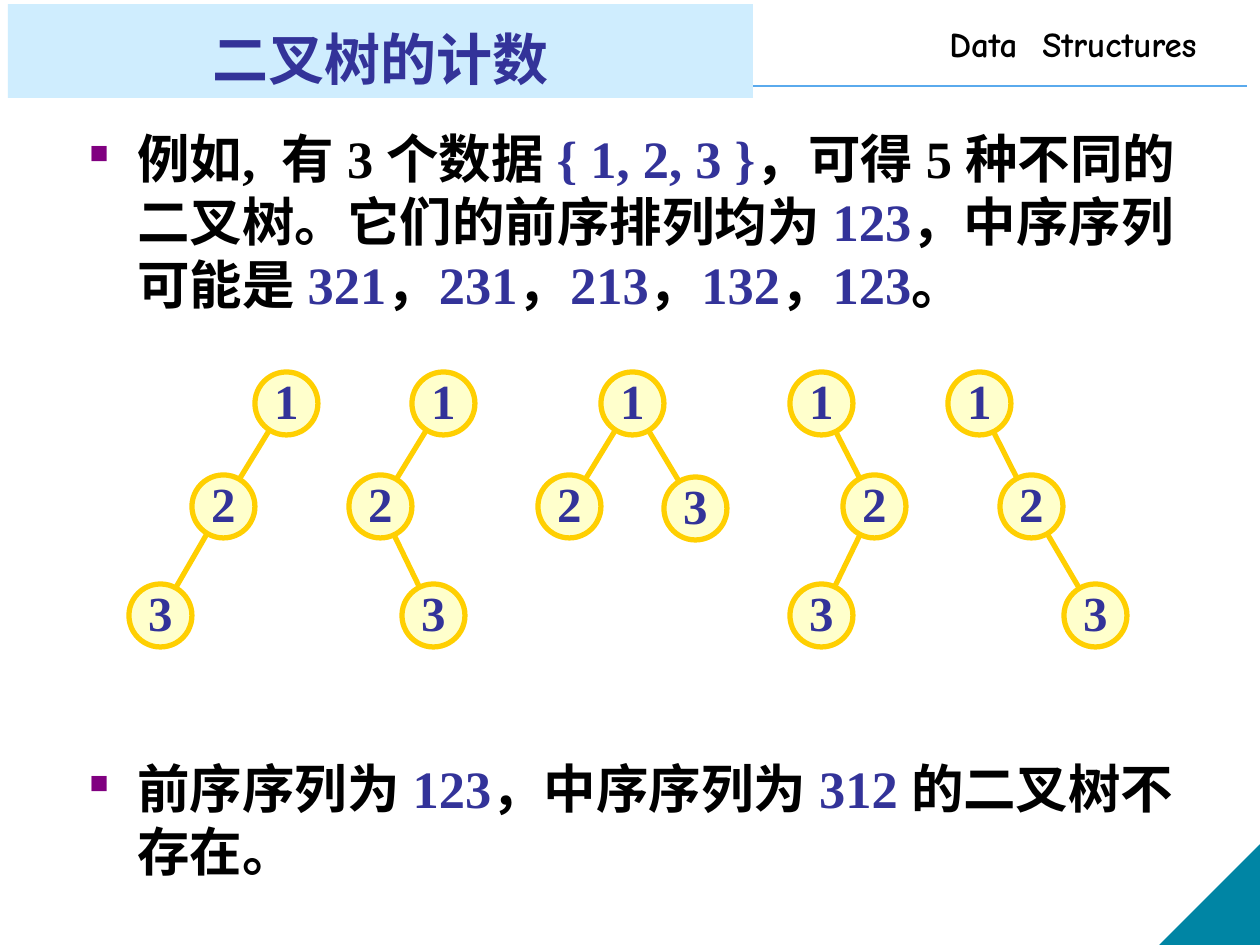
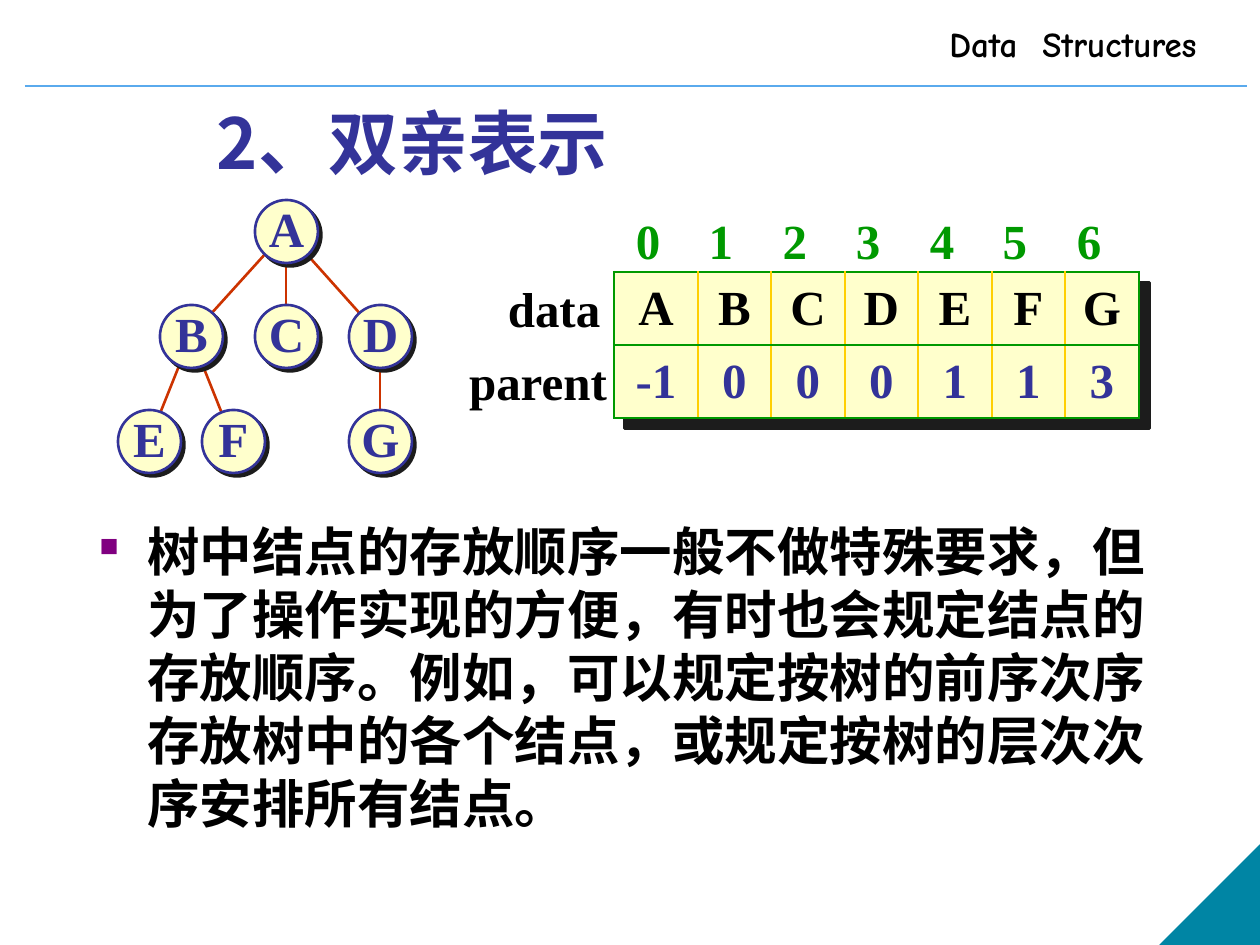
from dataclasses import dataclass
from itertools import product
from typing import NamedTuple

from lxml.etree import SubElement
from pptx import Presentation
from pptx.dml.color import RGBColor
from pptx.enum.shapes import MSO_CONNECTOR, MSO_SHAPE
from pptx.enum.text import MSO_ANCHOR, PP_ALIGN
from pptx.oxml.ns import qn
from pptx.util import Emu, Pt

BLACK = RGBColor(0x00, 0x00, 0x00)
WHITE = RGBColor(0xFF, 0xFF, 0xFF)
NAVY = RGBColor(0x33, 0x33, 0x99)
SKY = RGBColor(0x5A, 0xAA, 0xED)
PALE = RGBColor(0xCF, 0xED, 0xFE)
TEAL = RGBColor(0x00, 0x85, 0xA4)
CREAM = RGBColor(0xFF, 0xFF, 0xCC)
GOLD = RGBColor(0xFF, 0xCF, 0x01)
RUST = RGBColor(0xCC, 0x33, 0x00)
GREEN = RGBColor(0x00, 0x99, 0x00)
PURPLE = RGBColor(0x80, 0x00, 0x80)
SHADE = RGBColor(0x1C, 0x1C, 0x1C)

SERIF = "Times New Roman"
SANS = "Lato"
NODE = 63
INDENT = 48


class Box(NamedTuple):
    x: int
    y: int
    w: int
    h: int


class Style(NamedTuple):
    size: int
    color: RGBColor
    face: str = SERIF
    east: str = SANS


class Look(NamedTuple):
    edge: RGBColor
    rim: RGBColor
    width: float
    drop: float = 0


@dataclass
class Node:
    key: str
    x: int
    y: int
    root: str = ""


BODY = Style(30, BLACK)
LABEL = Style(28, NAVY)
DARK = Style(28, BLACK)
INDEX = Style(28, GREEN)
HEAD = Style(20, BLACK, "Comic Neue", "Comic Neue")

FIRST = Look(GOLD, GOLD, 3)
SECOND = Look(RUST, NAVY, 1.5, 2.8)

FOREST = [
    [Node("1", 286, 403), Node("2", 223, 506, "1"), Node("3", 160, 615, "2")],
    [Node("1", 443, 403), Node("2", 380, 506, "1"), Node("3", 433, 615, "2")],
    [Node("1", 632, 403), Node("2", 569, 506, "1"), Node("3", 695, 508, "1")],
    [Node("1", 821, 403), Node("2", 874, 506, "1"), Node("3", 821, 615, "2")],
    [Node("1", 979, 403), Node("2", 1031, 506, "1"), Node("3", 1095, 615, "2")],
]
FAMILY = [
    Node("A", 286, 231), Node("B", 191, 336, "A"), Node("C", 286, 336, "A"),
    Node("D", 380, 336, "A"), Node("E", 149, 441, "B"),
    Node("F", 233, 441, "B"), Node("G", 380, 441, "D"),
]
ROWS = [list("ABCDEFG"), ["-1", "0", "0", "0", "1", "1", "3"]]


def px(n: int) -> Emu:
    return Emu(round(n * 914400 / 126))


def place(box: Box) -> list[Emu]:
    return [px(n) for n in box]


def paint(node, color: RGBColor) -> None:
    fill = SubElement(node, qn("a:solidFill"))
    SubElement(fill, qn("a:srgbClr"), val=str(color))


def style_text(para, style: Style) -> None:
    font = para.font
    font.size = Pt(style.size)
    font.bold = True
    font.color.rgb = style.color
    font.name = style.face
    props = para._p.pPr.find(qn("a:defRPr"))
    SubElement(props, qn("a:ea"), typeface=style.east)


def write(frame, text: str, style: Style, align=PP_ALIGN.CENTER) -> None:
    para = frame.paragraphs[0]
    para.text = text
    para.alignment = align
    style_text(para, style)


def add_label(slide, box: Box, text: str, style: Style,
              align=PP_ALIGN.CENTER, anchor=MSO_ANCHOR.MIDDLE) -> None:
    frame = slide.shapes.add_textbox(*place(box)).text_frame
    frame.word_wrap = False
    frame.vertical_anchor = anchor
    write(frame, text, style, align)


def add_line(slide, start: tuple[int, int], end: tuple[int, int],
             color: RGBColor, width: float) -> None:
    line = slide.shapes.add_connector(
        MSO_CONNECTOR.STRAIGHT, *map(px, (*start, *end)))
    line.line.color.rgb = color
    line.line.width = Pt(width)
    SubElement(line._element.spPr, qn("a:effectLst"))


def add_form(slide, kind, box: Box, fill: RGBColor,
             rim: RGBColor | None = None, width: float = 1, drop: float = 0):
    form = slide.shapes.add_shape(kind, *place(box))
    form.fill.solid()
    form.fill.fore_color.rgb = fill
    if rim is None:
        form.line.fill.background()
    else:
        form.line.color.rgb = rim
        form.line.width = Pt(width)
    form.shadow.inherit = False
    if drop:
        effects = form._element.spPr.find(qn("a:effectLst"))
        shadow = SubElement(effects, qn("a:outerShdw"), dist=str(Pt(drop)),
                            dir="2700000", algn="ctr", rotWithShape="0")
        SubElement(shadow, qn("a:srgbClr"), val=str(SHADE))
    return form


def add_title(slide, box: Box, text: str, fill: RGBColor, style: Style) -> None:
    frame = add_form(slide, MSO_SHAPE.RECTANGLE, box, fill).text_frame
    frame.word_wrap = True
    frame.vertical_anchor = MSO_ANCHOR.BOTTOM
    write(frame, text, style)


def add_bullet(slide, box: Box, *parts: str) -> None:
    frame = slide.shapes.add_textbox(*place(box)).text_frame
    frame.word_wrap = True
    para = frame.paragraphs[0]
    props = para._p.get_or_add_pPr()
    props.set("marL", str(px(INDENT)))
    props.set("indent", str(-px(INDENT)))
    color = SubElement(props, qn("a:buClr"))
    SubElement(color, qn("a:srgbClr"), val=str(PURPLE))
    SubElement(props, qn("a:buSzPct"), val="50000")
    SubElement(props, qn("a:buChar"), char="■")
    style_text(para, BODY)
    for i, part in enumerate(parts):
        run = para.add_run()
        run.text = part
        if i % 2:
            run.font.color.rgb = NAVY


def add_tree(slide, nodes: list[Node], look: Look) -> None:
    spots = {node.key: (node.x, node.y) for node in nodes}
    for node in nodes:
        if node.root:
            add_line(slide, spots[node.root], spots[node.key],
                     look.edge, look.width)
    for node in nodes:
        box = Box(node.x - NODE // 2, node.y - NODE // 2, NODE, NODE)
        form = add_form(slide, MSO_SHAPE.OVAL, box, CREAM,
                        look.rim, look.width, look.drop)
        frame = form.text_frame
        frame.word_wrap = False
        frame.vertical_anchor = MSO_ANCHOR.MIDDLE
        frame.margin_left = frame.margin_right = frame.margin_top = 0
        frame.margin_bottom = px(8)
        write(frame, node.key, LABEL)


def add_border(cell, side: str, color: RGBColor) -> None:
    line = SubElement(cell._tc.get_or_add_tcPr(), qn(f"a:ln{side}"),
                      w=str(Pt(1.5)))
    paint(line, color)


def add_grid(slide, box: Box) -> None:
    add_form(slide, MSO_SHAPE.RECTANGLE, box, CREAM, GREEN, 1.5, 8.5)
    table = slide.shapes.add_table(2, 7, *place(box)).table
    table.first_row = table.horz_banding = False
    for col, width in zip(table.columns, [84] + [73, 74] * 3):
        col.width = px(width)
    for row in table.rows:
        row.height = px(box.h // 2)
    for r, c in product(range(2), range(7)):
        cell = table.cell(r, c)
        add_border(cell, "L", GOLD if c else GREEN)
        add_border(cell, "R", GOLD if c < 6 else GREEN)
        add_border(cell, "T", GREEN)
        add_border(cell, "B", GREEN)
        cell.fill.solid()
        cell.fill.fore_color.rgb = CREAM
        cell.margin_left = cell.margin_right = 0
        cell.margin_top = cell.margin_bottom = 0
        cell.vertical_anchor = MSO_ANCHOR.MIDDLE
        write(cell.text_frame, ROWS[r][c], LABEL if r else DARK)


def add_page(deck):
    slide = deck.slides.add_slide(deck.slide_layouts[6])
    add_line(slide, (25, 86), (1247, 86), SKY, 1)
    wedge = add_form(slide, MSO_SHAPE.RIGHT_TRIANGLE,
                     Box(1160, 845, 100, 100), TEAL, TEAL, 0.75)
    wedge.rotation = 270
    add_label(slide, Box(937, 16, 328, 54), "Data  Structures", HEAD,
              PP_ALIGN.LEFT, MSO_ANCHOR.TOP)
    return slide


def draw_count(deck) -> None:
    slide = add_page(deck)
    add_bullet(slide, Box(77, 120, 1119, 270),
               "例如,  有 3 个数据 ", "{ 1, 2, 3 }",
               "，可得 5 种不同的二叉树。它们的前序排列均为 ", "123",
               "，中序序列可能是 ", "321", "，", "231", "，", "213",
               "，", "132", "，", "123", "。")
    add_bullet(slide, Box(77, 750, 1119, 140),
               "前序序列为 ", "123", "，中序序列为 ", "312 ",
               "的二叉树不存在。")
    for tree in FOREST:
        add_tree(slide, tree, FIRST)
    add_title(slide, Box(8, 4, 745, 94), "二叉树的计数", PALE,
              Style(32, NAVY, SANS))


def draw_parent(deck) -> None:
    slide = add_page(deck)
    add_tree(slide, FAMILY, SECOND)
    add_grid(slide, Box(614, 272, 525, 146))
    add_label(slide, Box(495, 272, 118, 72), "data", DARK)
    add_label(slide, Box(456, 345, 164, 72), "parent", DARK)
    for i in range(7):
        add_label(slide, Box(623 + i * 147 // 2, 204, 50, 72), str(i), INDEX)
    cjk = "Noto Sans CJK JP"
    add_title(slide, Box(28, 89, 769, 101), "2、双亲表示", WHITE,
              Style(40, NAVY, cjk, cjk))
    add_bullet(slide, Box(87, 513, 1094, 341),
               "树中结点的存放顺序一般不做特殊要求，但为了操作实现的方便，"
               "有时也会规定结点的存放顺序。例如，可以规定按树的前序次序"
               "存放树中的各个结点，或规定按树的层次次序安排所有结点。")


def main() -> None:
    deck = Presentation()
    deck.slide_width = px(1260)
    deck.slide_height = px(945)
    draw_count(deck)
    draw_parent(deck)
    deck.save("out.pptx")


if __name__ == "__main__":
    main()
